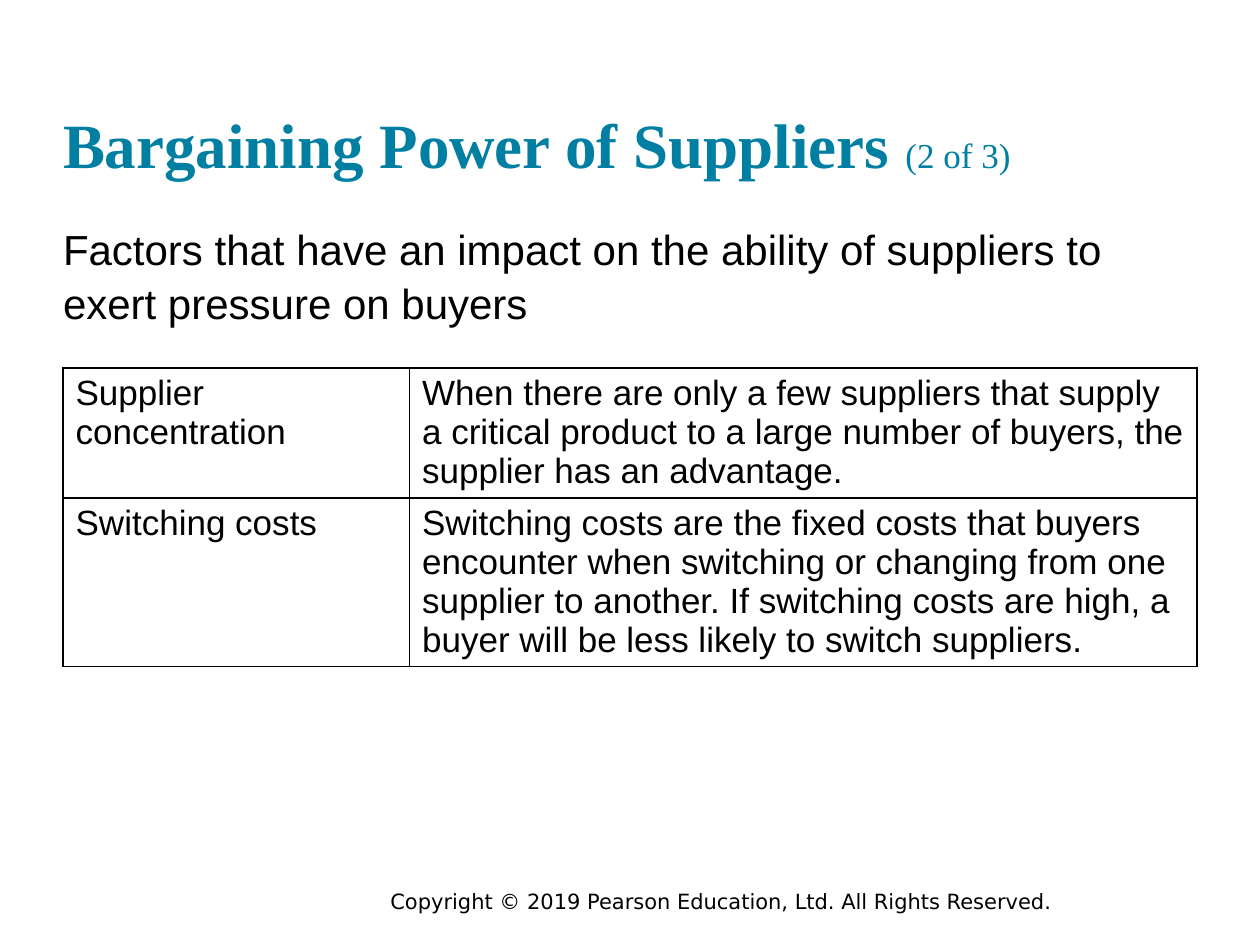
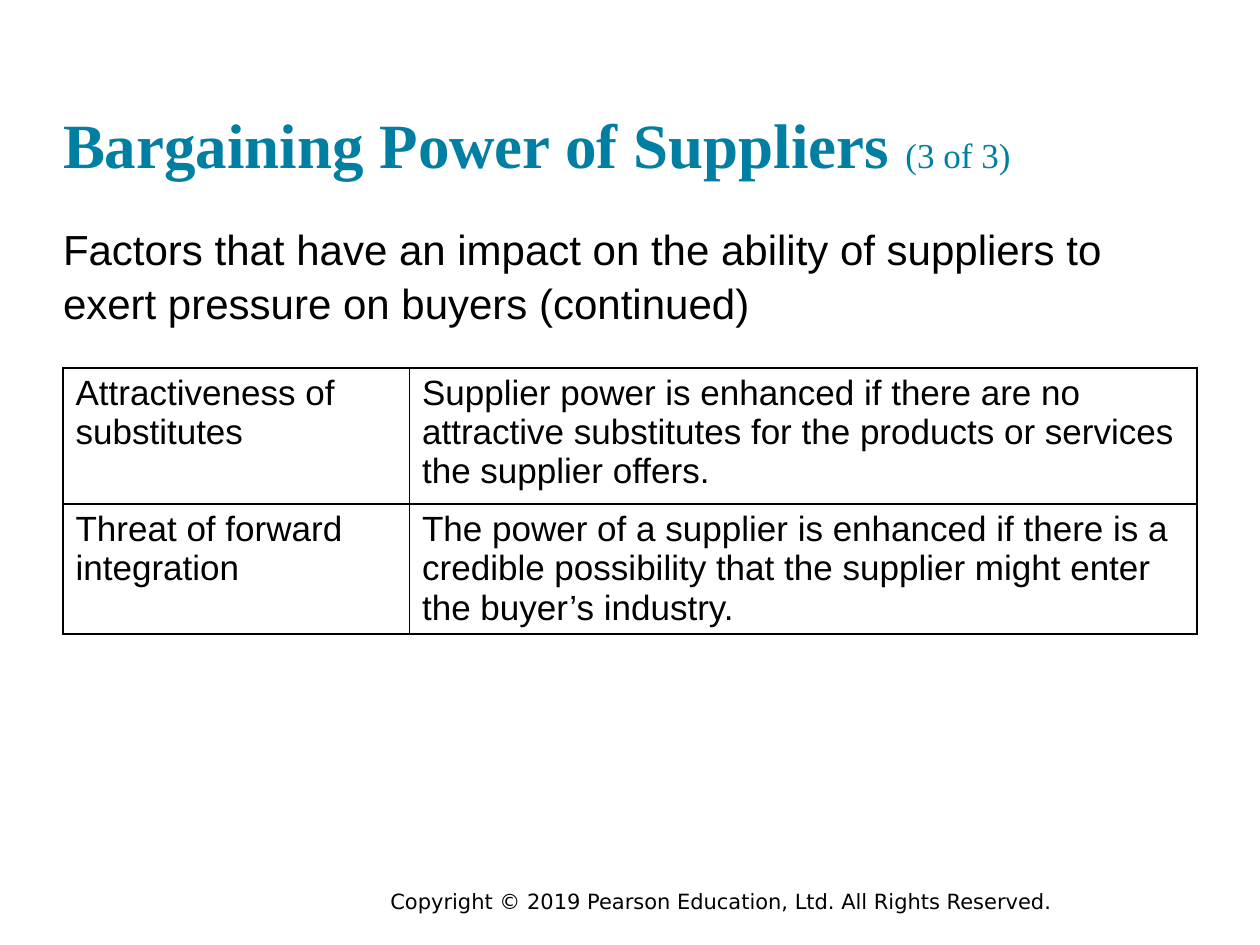
from lxml import etree
from pptx import Presentation
from pptx import util as u
from pptx.dml.color import RGBColor
from pptx.enum import text
from pptx.oxml.ns import qn

WIDTH, HEIGHT = u.Inches(10), u.Inches(7.5)
COLUMN, ROW = WIDTH / 20, HEIGHT / 100
TEAL, BLACK, WHITE = "007FA3", "000000", "FFFFFF"
TITLE_FONT, BODY_FONT, FOOTER_FONT = "Times New Roman", "Arial", "DejaVu Sans"

TITLE_BOX = (1, 3.2, 18, 16)
LEAD_BOX = (1, 23.33, 18, 10.5)
TABLE_BOX = (1, 38.93, 18)
FOOTER_BOX = (6, 93.33, 13.34, 4)
TABLE_COLUMNS = (5.5, 12.5)

TITLE = "Bargaining Power of Suppliers "
LEAD = "Factors that have an impact on the ability of suppliers to exert pressure on buyers"
COPYRIGHT = "Copyright © 2019 Pearson Education, Ltd. All Rights Reserved."

SLIDES = [
    ("(2 of 3)", LEAD, [
        (13.75, "Supplier concentration",
         "When there are only a few suppliers that supply a critical product to a large "
         "number of buyers, the supplier has an advantage."),
        (17.85, "Switching costs",
         "Switching costs are the fixed costs that buyers encounter when switching or "
         "changing from one supplier to another. If switching costs are high, a buyer "
         "will be less likely to switch suppliers."),
    ]),
    ("(3 of 3)", LEAD + " (continued)", [
        (14.4, "Attractiveness of substitutes",
         "Supplier power is enhanced if there are no attractive substitutes for the "
         "products or services the supplier offers."),
        (13.75, "Threat of forward integration",
         "The power of a supplier is enhanced if there is a credible possibility that "
         "the supplier might enter the buyer’s industry."),
    ]),
]


def color(value):
    """Turn a hex string into a colour."""
    return RGBColor.from_string(value)


def across(columns):
    """Length of a number of grid columns."""
    return u.Emu(round(columns * COLUMN))


def down(rows):
    """Length of a number of grid rows."""
    return u.Emu(round(rows * ROW))


def place(shape, box):
    """Move a shape to a box given in grid columns and rows."""
    left, top, width, height = box
    shape.left, shape.top = across(left), down(top)
    shape.width, shape.height = across(width), down(height)


def add_run(paragraph, words, font_name, size, hex_color=BLACK, bold=False):
    """Add one formatted run to a paragraph."""
    run = paragraph.add_run()
    run.text = words
    run.font.name, run.font.size, run.font.bold = font_name, u.Pt(size), bold
    run.font.color.rgb = color(hex_color)


def open_frame(shape, box, anchor):
    """Place a placeholder without insets and return its left-aligned paragraph."""
    place(shape, box)
    frame = shape.text_frame
    frame.margin_left = frame.margin_right = frame.margin_top = frame.margin_bottom = 0
    frame.word_wrap, frame.auto_size = True, text.MSO_AUTO_SIZE.NONE
    frame.vertical_anchor = anchor
    paragraph = frame.paragraphs[0]
    paragraph.alignment = text.PP_ALIGN.LEFT
    paragraph.space_before = u.Pt(0)
    return paragraph


def fill_title(shape, box, part):
    """Write the bold title and its lighter part number."""
    paragraph = open_frame(shape, box, text.MSO_ANCHOR.BOTTOM)
    add_run(paragraph, TITLE, TITLE_FONT, 36, TEAL, bold=True)
    add_run(paragraph, part, TITLE_FONT, 20, TEAL)


def fill_lead(shape, box, words):
    """Write the unbulleted lead sentence."""
    paragraph = open_frame(shape, box, text.MSO_ANCHOR.TOP)
    paragraph.line_spacing = 1.07
    properties = paragraph._p.get_or_add_pPr()
    properties.set("marL", "0")
    properties.set("indent", "0")
    etree.SubElement(properties, qn("a:buNone"))
    add_run(paragraph, words, BODY_FONT, 24)


def add_borders(cell):
    """Draw a thin black line on each side of a cell."""
    properties = cell._tc.get_or_add_tcPr()
    for index, side in enumerate(("lnL", "lnR", "lnT", "lnB")):
        line = etree.Element(qn(f"a:{side}"), w=str(u.Pt(1)))
        fill = etree.SubElement(line, qn("a:solidFill"))
        etree.SubElement(fill, qn("a:srgbClr"), val=BLACK)
        properties.insert(index, line)


def add_factor_table(slide, box, factors):
    """Add a table with one row for each factor and its explanation."""
    left, top, width = box
    height = sum(factor[0] for factor in factors)
    frame = slide.shapes.add_table(len(factors), len(TABLE_COLUMNS), across(left),
                                   down(top), across(width), down(height))
    table = frame.table
    table.first_row = table.horz_banding = False
    for column, columns in zip(table.columns, TABLE_COLUMNS):
        column.width = across(columns)
    for row, (rows, *entries) in zip(table.rows, factors):
        row.height = down(rows)
        for cell, words in zip(row.cells, entries):
            cell.fill.solid()
            cell.fill.fore_color.rgb = color(WHITE)
            add_borders(cell)
            add_run(cell.text_frame.paragraphs[0], words, BODY_FONT, 20)


def add_footer(slide, box):
    """Add the copyright line."""
    shape = slide.shapes.add_textbox(0, 0, 0, 0)
    place(shape, box)
    shape.text_frame.word_wrap = True
    add_run(shape.text_frame.paragraphs[0], COPYRIGHT, FOOTER_FONT, 12)


def add_factor_slide(presentation, part, lead, factors):
    """Add a slide with title, lead sentence, factor table and footer."""
    slide = presentation.slides.add_slide(presentation.slide_layouts[1])
    slide.background.fill.solid()
    slide.background.fill.fore_color.rgb = color(WHITE)
    fill_title(slide.shapes.title, TITLE_BOX, part)
    fill_lead(slide.placeholders[1], LEAD_BOX, lead)
    add_factor_table(slide, TABLE_BOX, factors)
    add_footer(slide, FOOTER_BOX)


def main():
    """Build and save the presentation."""
    presentation = Presentation()
    presentation.slide_width, presentation.slide_height = WIDTH, HEIGHT
    for part, lead, factors in SLIDES:
        add_factor_slide(presentation, part, lead, factors)
    presentation.save("out.pptx")


if __name__ == "__main__":
    main()
